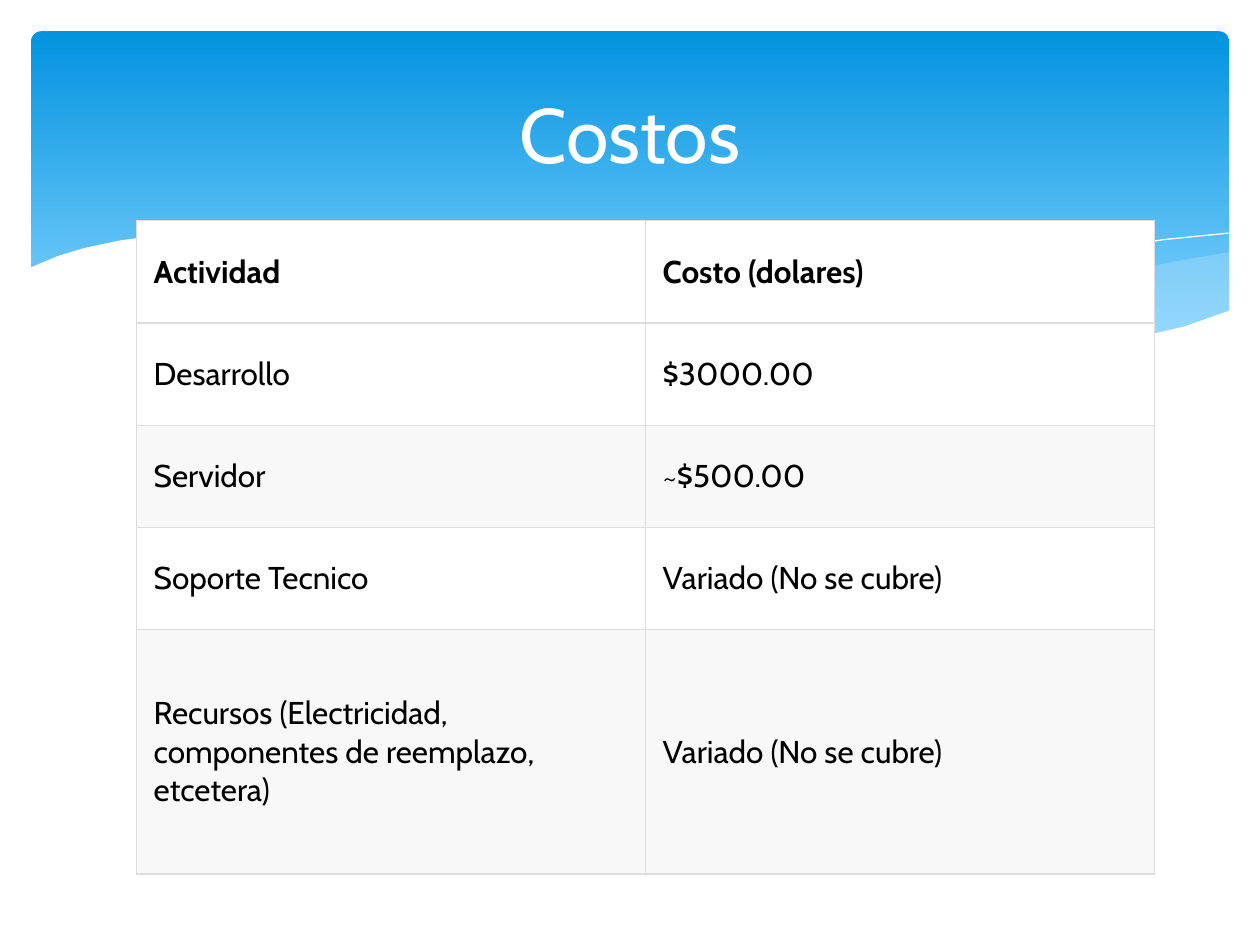
"""Build the Costos slide: a blue wave banner, its title and a table of costs."""
from dataclasses import dataclass
from typing import Optional

from lxml.etree import SubElement
from pptx import Presentation
from pptx.dml.color import RGBColor
from pptx.enum.shapes import MSO_SHAPE
from pptx.enum.text import MSO_ANCHOR, PP_ALIGN
from pptx.oxml import parse_xml
from pptx.oxml.ns import nsdecls, qn
from pptx.slide import Slide
from pptx.util import Cm, Pt

FONT = "Cabin"
COLORS = {
    "white": "FFFFFF",
    "text": "000000",
    "banner_top": "0293E0",
    "banner_bottom": "83D3FE",
    "ripple": "C6E7FC",
    "border": "DDDDDD",
    "band": "F8F8F8",
}


@dataclass(frozen=True)
class Wave:
    """A curve in centimetres, filled when closed and stroked when open."""

    points: tuple[tuple[float, float], ...]
    color: str
    closed: bool = True
    opacity: Optional[int] = None


@dataclass(frozen=True)
class Cost:
    """One row of the cost table."""

    activity: str
    amount: str
    height: float = 2.06
    fill: str = "white"
    bold: bool = False


WAVES = (
    Wave(
        ((24.79, 5.08), (23.75, 5.26), (22.63, 5.49), (21.13, 5.84),
         (19.13, 6.3), (16.79, 6.73), (18.26, 6.91), (19.84, 7.04),
         (21.21, 7.04), (22.38, 6.93), (23.57, 6.68), (24.79, 6.27)),
        "ripple", opacity=29),
    Wave(
        ((22.68, 6.93), (20.5, 6.6), (17.93, 6.1), (15.98, 5.64),
         (14.45, 5.28), (12.75, 4.98), (10.67, 4.75), (9.17, 4.7),
         (7.26, 4.85), (9.19, 5.16), (11.4, 5.64), (13.46, 6.1),
         (15.7, 6.55), (18.01, 6.91), (19.94, 7.06), (21.54, 7.04)),
        "ripple", opacity=40),
    Wave(
        ((7.85, 4.95), (9.22, 4.8), (11, 4.75), (12.95, 4.88),
         (15.44, 5.18), (17.65, 5.56), (20.19, 6.12), (23.04, 6.91)),
        "white", closed=False),
    Wave(
        ((15.57, 6.53), (17.65, 5.97), (19.71, 5.49), (22, 5.05),
         (23.47, 4.83), (24.77, 4.7)),
        "white", closed=False),
    Wave(
        ((24.82, 6.25), (23.88, 6.58), (22.83, 6.83), (21.59, 6.99),
         (20.55, 7.04), (19.33, 6.99), (17.98, 6.86), (16.46, 6.65),
         (14.71, 6.35), (12.78, 5.92), (11.35, 5.59), (9.27, 5.13),
         (7.42, 4.83), (5.84, 4.7), (4.5, 4.67), (3.35, 4.72),
         (2.41, 4.85), (1.7, 5), (1.17, 5.16), (0.58, 5.41),
         (0.58, 8.36), (24.82, 8.36)),
        "white"),
)

COSTS = (
    Cost("Actividad", "Costo (dolares)", bold=True),
    Cost("Desarrollo", "$3000.00"),
    Cost("Servidor", "~$500.00", fill="band"),
    Cost("Soporte Tecnico", "Variado (No se cubre)"),
    Cost("Recursos (Electricidad, componentes de reemplazo, etcetera)",
         "Variado (No se cubre)", height=4.93, fill="band"),
)


def rgb(name: str) -> RGBColor:
    """Look up a named colour."""
    return RGBColor.from_string(COLORS[name])


def draw_banner(slide: Slide) -> None:
    """Draw the rounded gradient panel."""
    banner = slide.shapes.add_shape(
        MSO_SHAPE.ROUNDED_RECTANGLE, Cm(0.63), Cm(0.63), Cm(24.15), Cm(6.86))
    banner.adjustments[0] = 0.03
    banner.shadow.inherit = False
    banner.line.fill.background()
    banner.fill.gradient()
    banner.fill.gradient_angle = 270
    stops = (("banner_top", 0), ("banner_bottom", 0.9))
    for stop, (color, position) in zip(banner.fill.gradient_stops, stops):
        stop.color.rgb = rgb(color)
        stop.position = position


def draw_wave(slide: Slide, wave: Wave) -> None:
    """Draw one wave as a freeform."""
    start, *rest = [(round(x * 100), round(y * 100)) for x, y in wave.points]
    builder = slide.shapes.build_freeform(*start, scale=Cm(0.01))
    builder.add_line_segments(rest, close=wave.closed)
    curve = builder.convert_to_shape()
    curve.shadow.inherit = False
    if not wave.closed:
        curve.fill.background()
        curve.line.color.rgb = rgb(wave.color)
        curve.line.width = Pt(0)
        return
    curve.line.fill.background()
    curve.fill.solid()
    curve.fill.fore_color.rgb = rgb(wave.color)
    if wave.opacity is not None:
        tint = curve._element.spPr.find(qn("a:solidFill"))[0]
        SubElement(tint, qn("a:alpha"), val=str(wave.opacity * 1000))


def write_title(slide: Slide, wording: str) -> None:
    """Fill the title placeholder and bring it in front of the banner."""
    title = slide.shapes.title
    title.left, title.top, title.width, title.height = (
        Cm(1.27), Cm(0.94), Cm(22.86), Cm(3.48))
    title.text_frame.text = wording
    title.text_frame.vertical_anchor = MSO_ANCHOR.MIDDLE
    heading = title.text_frame.paragraphs[0]
    heading.alignment = PP_ALIGN.CENTER
    heading.font.name = FONT
    heading.font.size = Pt(44)
    heading.font.color.rgb = rgb("white")
    slide.shapes._spTree.append(title._element)


def draw_costs(slide: Slide, costs: tuple[Cost, ...]) -> None:
    """Draw the cost table."""
    table = slide.shapes.add_table(
        len(costs), 2, Cm(2.75), Cm(4.45), Cm(20.52),
        Cm(sum(cost.height for cost in costs))).table
    for row, cost in zip(table.rows, costs):
        row.height = Cm(cost.height)
        for cell, wording in zip(row.cells, (cost.activity, cost.amount)):
            cell.text = wording
            cell.vertical_anchor = MSO_ANCHOR.MIDDLE
            cell.margin_left = cell.margin_right = Cm(0.35)
            cell.margin_top = cell.margin_bottom = Cm(0.16)
            cell.fill.solid()
            cell.fill.fore_color.rgb = rgb(cost.fill)
            entry = cell.text_frame.paragraphs[0].font
            entry.name = FONT
            entry.size = Pt(18)
            entry.bold = cost.bold
            entry.color.rgb = rgb("text")
            for index, side in enumerate("LRTB"):
                cell._tc.tcPr.insert(index, parse_xml(
                    f'<a:ln{side} {nsdecls("a")} w="{Pt(0.75)}"><a:solidFill>'
                    f'<a:srgbClr val="{COLORS["border"]}"/>'
                    f'</a:solidFill></a:ln{side}>'))


def main() -> None:
    """Assemble and save the slide."""
    deck = Presentation()
    deck.slide_width, deck.slide_height = Cm(25.4), Cm(19.05)
    slide = deck.slides.add_slide(deck.slide_layouts[5])
    draw_banner(slide)
    for wave in WAVES:
        draw_wave(slide, wave)
    write_title(slide, "Costos")
    draw_costs(slide, COSTS)
    deck.save("out.pptx")


if __name__ == "__main__":
    main()
